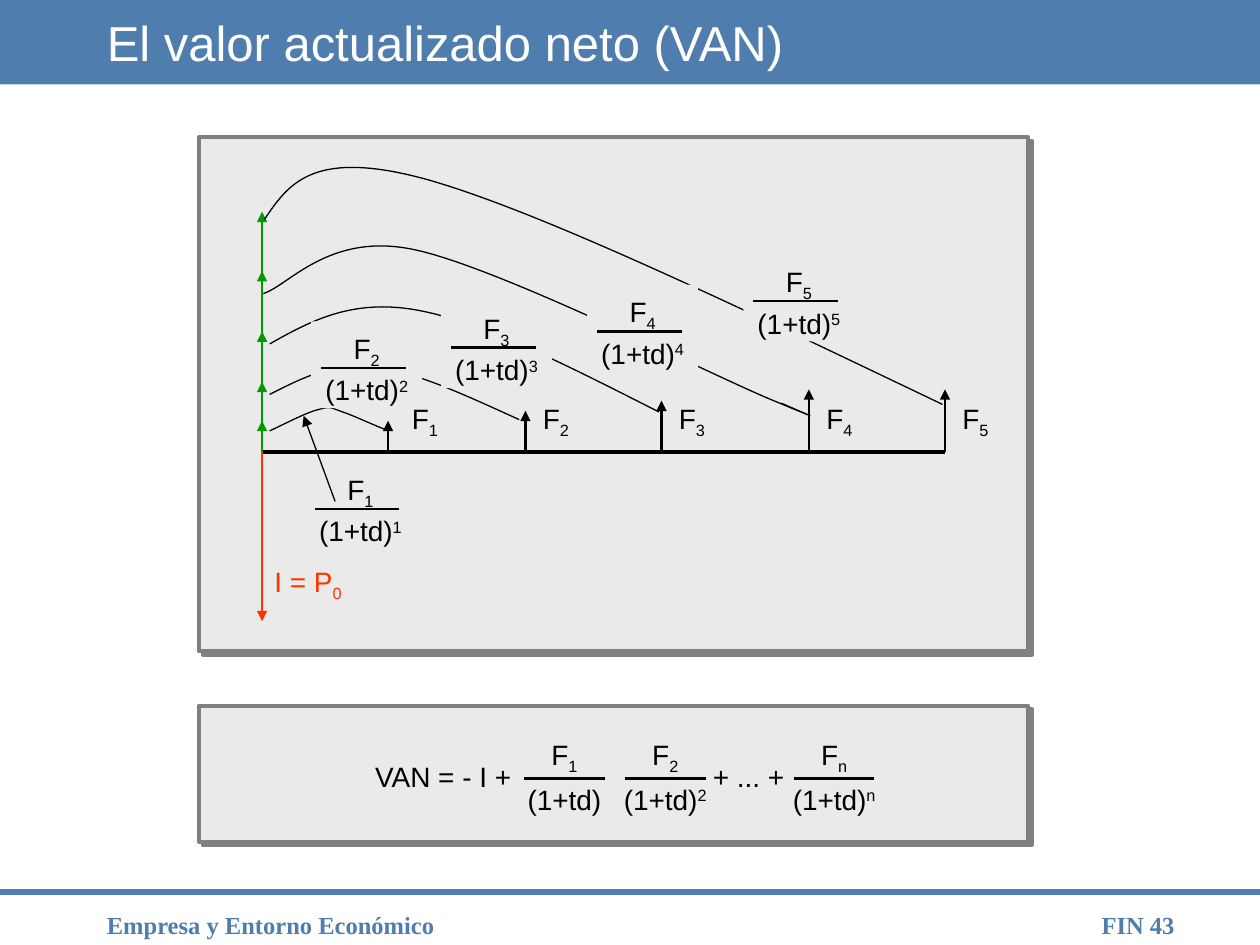
from lxml import etree
from pptx import Presentation
from pptx.dml.color import RGBColor
from pptx.enum import shapes, text
from pptx.oxml.ns import qn
from pptx.util import Inches, Pt

COLORS = {"blue": "4F7DAE", "white": "FFFFFF", "black": "000000", "panel": "EAEAEA",
          "gray": "808080", "red": "FF3300", "green": "009900"}

TITLE = "El valor actualizado neto (VAN)"
FOOTER, PAGE = "Empresa y Entorno Económico", "FIN 43"

PANELS = [(1.09, 4.08), (5.6, 1.08)]  # top, height
AXIS_X, AXIS_Y = 2.08, 3.59
# period: x of the flow arrow, y of its tip
FLOWS = {1: (3.08, 3.34), 2: (4.17, 3.26), 3: (5.25, 3.18), 4: (6.42, 3.09), 5: (7.5, 3.09)}
PRESENT_VALUE_TIPS = [3.34, 3.03, 2.63, 2.15, 1.68]
# period: left, top of its discounted value
DISCOUNTED = {3: (3.5, 2.39), 4: (4.66, 2.26), 5: (5.9, 2.02), 2: (2.47, 2.55), 1: (2.42, 3.67)}
# start point, then three points for each Bézier segment
DISCOUNT_CURVES = [
    [(3.06, 3.41), (2.93, 3.36), (2.81, 3.3), (2.72, 3.27), (2.63, 3.24), (2.63, 3.22),
     (2.53, 3.25), (2.44, 3.27), (2.29, 3.35), (2.14, 3.42)],
    [(4.12, 3.33), (3.7, 3.14), (3.28, 2.94), (2.95, 2.91), (2.62, 2.88), (2.38, 3.01),
     (2.14, 3.13)],
    [(5.23, 3.27), (4.52, 2.91), (3.82, 2.55), (3.3, 2.46), (2.79, 2.37), (2.46, 2.55),
     (2.14, 2.73)],
    [(6.2, 3.2), (6.41, 3.29), (6.62, 3.38), (6.14, 3.18), (5.65, 2.98), (3.96, 2.12),
     (3.28, 1.98), (2.61, 1.84), (2.29, 2.27), (2.09, 2.33)],
    [(7.48, 3.21), (5.87, 2.44), (4.27, 1.67), (3.37, 1.42), (2.48, 1.18), (2.29, 1.46),
     (2.1, 1.74)],
]
# centre, numerator, denominator
VAN_TERMS = [(4.48, "F|_1", "(1+td)"), (5.28, "F|_2", "(1+td)|^2"), (6.62, "F|_n", "(1+td)|^n")]
VAN_SIGNS = [(2.88, 1.4, "VAN = - I +"), (5.56, 0.9, "+ ... +")]  # left, width, text

BASELINES = {"_": "-25000", "^": "30000"}

prs = Presentation()
prs.slide_width, prs.slide_height = Inches(10), Inches(7.5)
slide = prs.slides.add_slide(prs.slide_layouts[6])


def color(name):
    return RGBColor.from_string(COLORS[name])


def add_text(content, left, top, width, height, *, size=16, font="Arial", ink="black",
             bold=False, align="LEFT", anchor="TOP", spacing=None, fill=None, inset=0.1):
    """Lines split at newlines, runs at |; a run led by _ or ^ is lowered or raised."""
    box = slide.shapes.add_textbox(*map(Inches, (left, top, width, height)))
    if fill:
        box.fill.solid()
        box.fill.fore_color.rgb = color(fill)
    frame = box.text_frame
    frame.word_wrap = True
    frame.vertical_anchor = text.MSO_ANCHOR[anchor]
    frame.margin_left = frame.margin_right = Inches(inset)
    for index, line in enumerate(content.split("\n")):
        paragraph = frame.add_paragraph() if index else frame.paragraphs[0]
        paragraph.alignment = text.PP_ALIGN[align]
        if spacing:
            paragraph.line_spacing = spacing
        for part in line.split("|"):
            run = paragraph.add_run()
            run.text = part.lstrip("_^")
            run.font.size, run.font.name, run.font.bold = Pt(size), font, bold
            run.font.color.rgb = color(ink)
            if part[0] in BASELINES:
                run.font._element.set("baseline", BASELINES[part[0]])


def add_line(x1, y1, x2, y2, width=1.5, ink="black", arrow=False):
    line = slide.shapes.add_connector(shapes.MSO_CONNECTOR.STRAIGHT,
                                      *map(Inches, (x1, y1, x2, y2)))
    line.line.width = Pt(width)
    line.line.color.rgb = color(ink)
    if arrow:
        etree.SubElement(line.line._get_or_add_ln(), qn("a:tailEnd"), type="triangle")
    etree.SubElement(line._element.spPr, qn("a:effectLst"))


def add_rect(left, top, width, height, fill):
    rect = slide.shapes.add_shape(shapes.MSO_SHAPE.RECTANGLE,
                                  *map(Inches, (left, top, width, height)))
    rect.fill.solid()
    rect.fill.fore_color.rgb = color(fill)
    rect.line.fill.background()
    rect.shadow.inherit = False
    return rect


def add_panel(top, height):
    panel = add_rect(1.58, top, 6.58, height, "panel")
    panel.line.color.rgb = color("gray")
    panel.line.width = Pt(2.25)
    effects = panel._element.spPr.find(qn("a:effectLst"))
    shadow = etree.SubElement(effects, qn("a:outerShdw"), dist=str(Pt(2.8)),
                              dir="2700000", algn="ctr", rotWithShape="0")
    etree.SubElement(shadow, qn("a:srgbClr"), val=COLORS["gray"])


def add_curve(points):
    """Draws the points as a polyline, then turns each three segments into one Bézier."""
    start, *rest = [(Inches(x), Inches(y)) for x, y in points]
    builder = slide.shapes.build_freeform(*start)
    builder.add_line_segments(rest, close=False)
    curve = builder.convert_to_shape()
    curve.fill.background()
    curve.line.color.rgb = color("black")
    curve.line.width = Pt(0.75)
    curve.shadow.inherit = False
    outline = curve._element.spPr.find(".//" + qn("a:path"))
    segments = outline.findall(qn("a:lnTo"))
    for first in range(0, len(segments), 3):
        bezier = etree.SubElement(outline, qn("a:cubicBezTo"))
        for segment in segments[first:first + 3]:
            bezier.append(segment[0])
            outline.remove(segment)


# Title bar and footer
add_rect(0, 0, 10, 0.67, "blue")
add_line(0, 7.08, 10, 7.08, 3, "blue")
footer_style = {"size": 14, "font": "Times New Roman", "ink": "blue", "bold": True}
add_text(PAGE, 8.07, 7.17, 1.35, 0.25, align="RIGHT", **footer_style)
add_text(FOOTER, 0.75, 7.17, 4.67, 0.25, **footer_style)
add_text(TITLE, 0.75, 0, 8.5, 0.67, size=28, ink="white", anchor="MIDDLE")

for panel_top, panel_height in PANELS:
    add_panel(panel_top, panel_height)

# Cash flow diagram
add_line(AXIS_X, AXIS_Y, 7.5, AXIS_Y, 2.25)
add_line(AXIS_X, AXIS_Y, AXIS_X, 4.93, 0.75, "red", arrow=True)
add_text("I = P|_0", AXIS_X, 4.43, 0.85, 0.37, ink="red")
for period, (x, tip) in FLOWS.items():
    add_line(x, AXIS_Y, x, tip, arrow=True)
    add_text(f"F|_{period}", x + (0.09 if period == 1 else 0.04), 3.14, 0.6, 0.37)

base = AXIS_Y
for tip in PRESENT_VALUE_TIPS:
    add_line(AXIS_X, base, AXIS_X, tip, ink="green", arrow=True)
    base = tip + 0.02

for curve_points in DISCOUNT_CURVES:
    add_curve(curve_points)
for period, (left, top) in DISCOUNTED.items():
    add_text(f"F|_{period}\n(1+td)|^{period}", left, top, 0.88, 0.69,
             align="CENTER", spacing=1.1, fill="panel", inset=0.05)
    add_line(left + 0.08, top + 0.37, left + 0.75, top + 0.37)
add_line(2.66, 3.98, 2.41, 3.3, 0.75, arrow=True)

# VAN formula
for left, width, sign in VAN_SIGNS:
    add_text(sign, left, 5.98, width, 0.37)
for centre, numerator, denominator in VAN_TERMS:
    add_text(numerator, centre - 0.45, 5.73, 0.9, 0.44, align="CENTER", spacing=1.25, inset=0)
    add_text(denominator, centre - 0.45, 6.16, 0.9, 0.37, align="CENTER", inset=0)
    add_line(centre - 0.32, 6.18, centre + 0.32, 6.18)

prs.save("out.pptx")
